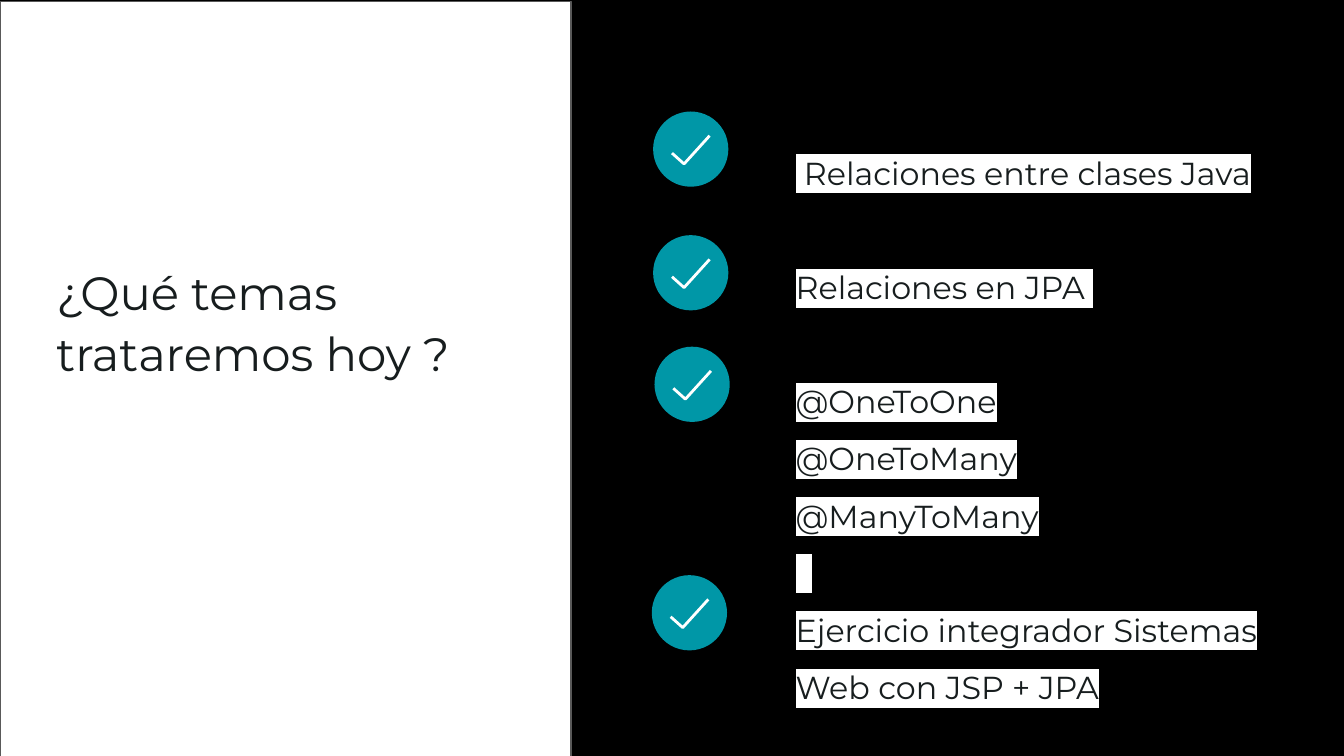
from dataclasses import dataclass

from lxml.etree import SubElement
from pptx import Presentation
from pptx.dml.color import RGBColor
from pptx.enum.shapes import MSO_SHAPE as Shape
from pptx.oxml.ns import qn
from pptx.util import Inches, Pt

COLORS = {
    "background": "000000",
    "panel": "FFFFFF",
    "panel_line": "595959",
    "text": "171D1E",
    "highlight": "FFFFFF",
    "badge": "0097A7",
    "check": "FFFFFF",
}
FONT = "Montserrat"
SLIDE_WIDTH = 10
SLIDE_HEIGHT = SLIDE_WIDTH * 9 / 16
BADGE_SIZE = 0.56
CHECK_POINTS = [(0.14, 0.31), (0.23, 0.39), (0.42, 0.18)]


@dataclass
class Badge:
    left: float
    top: float


@dataclass
class Line:
    text: str
    space_before: float = 0


@dataclass
class TextBlock:
    left: float
    top: float
    width: float
    height: float
    size: float
    spacing: float
    lines: list[Line]


BADGES = [Badge(4.86, 0.83), Badge(4.86, 1.75), Badge(4.87, 2.58), Badge(4.85, 4.28)]
TITLE = TextBlock(0.42, 1.92, 3.48, 0.88, 25, 1.1, [Line("¿Qué temas trataremos hoy ?")])
TOPICS = TextBlock(5.92, 1, 3.58, 4.44, 17, 1.5, [
    Line(" Relaciones entre clases Java"),
    Line("Relaciones en JPA ", 30.6),
    Line("@OneToOne", 30.6),
    Line("@OneToMany"),
    Line("@ManyToMany"),
    Line("  \nEjercicio integrador Sistemas Web con JSP + JPA"),
])


def rgb(name: str) -> RGBColor:
    return RGBColor.from_string(COLORS[name])


def add_highlight(r) -> None:
    fill = r.font._element.find(qn("a:solidFill"))
    highlight = SubElement(r.font._element, qn("a:highlight"))
    SubElement(highlight, qn("a:srgbClr"), val=COLORS["highlight"])
    fill.addnext(highlight)


def add_text(s, block: TextBlock) -> None:
    sp = s.shapes.add_textbox(
        Inches(block.left), Inches(block.top), Inches(block.width), Inches(block.height)
    )
    tf = sp.text_frame
    tf.word_wrap = True
    tf.margin_left = tf.margin_top = tf.margin_right = tf.margin_bottom = 0
    for i, line in enumerate(block.lines):
        p = tf.add_paragraph() if i else tf.paragraphs[0]
        p.text = line.text
        p.line_spacing = block.spacing
        p.space_before = Pt(line.space_before)
        for r in p.runs:
            r.font.size = Pt(block.size)
            r.font.name = FONT
            r.font.color.rgb = rgb("text")
            add_highlight(r)


def add_panel(s) -> None:
    sp = s.shapes.add_shape(Shape.RECTANGLE, 0, Inches(0.01), Inches(4.25), Inches(5.66))
    sp.shadow.inherit = False
    sp.fill.solid()
    sp.fill.fore_color.rgb = rgb("panel")
    sp.line.color.rgb = rgb("panel_line")
    sp.line.width = Pt(0.75)


def add_badge(s, badge: Badge) -> None:
    group = s.shapes.add_group_shape()
    size = Inches(BADGE_SIZE)
    disc = group.shapes.add_shape(
        Shape.OVAL, Inches(badge.left), Inches(badge.top), size, size
    )
    disc.shadow.inherit = False
    disc.fill.solid()
    disc.fill.fore_color.rgb = rgb("badge")
    disc.line.fill.background()

    points = [(Inches(badge.left + x), Inches(badge.top + y)) for x, y in CHECK_POINTS]
    builder = group.shapes.build_freeform(*points[0])
    builder.add_line_segments(points[1:], close=False)
    check = builder.convert_to_shape()
    check.shadow.inherit = False
    check.fill.background()
    check.line.color.rgb = rgb("check")
    check.line.width = Pt(1.5)


def main() -> None:
    prs = Presentation()
    prs.slide_width = Inches(SLIDE_WIDTH)
    prs.slide_height = Inches(SLIDE_HEIGHT)
    s = prs.slides.add_slide(prs.slide_layouts[6])
    s.background.fill.solid()
    s.background.fill.fore_color.rgb = rgb("background")
    add_panel(s)
    add_text(s, TITLE)
    add_text(s, TOPICS)
    for badge in BADGES:
        add_badge(s, badge)
    prs.save("out.pptx")


if __name__ == "__main__":
    main()
